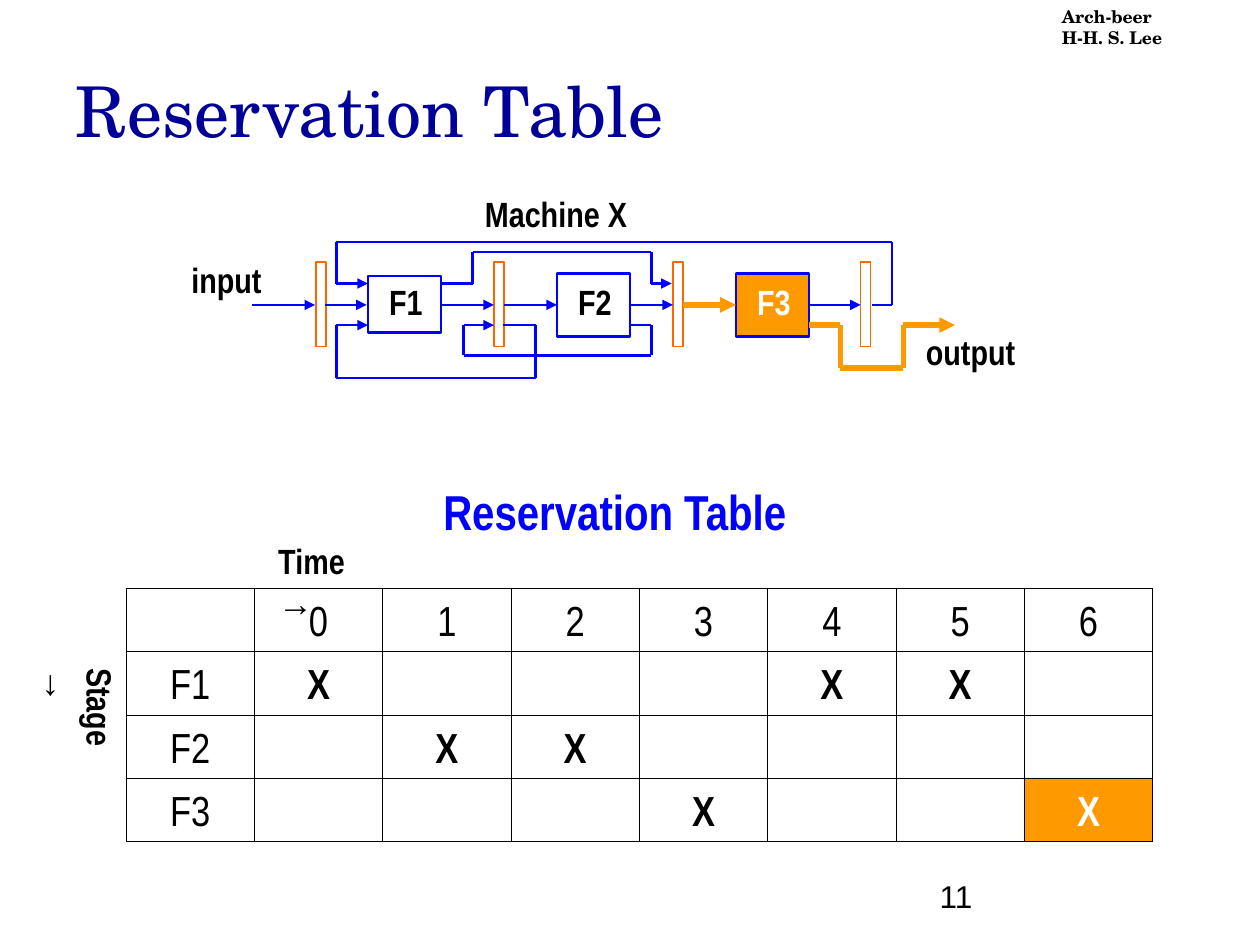
from dataclasses import dataclass
from itertools import pairwise

from lxml.etree import SubElement
from pptx import Presentation
from pptx.dml.color import RGBColor as RGB
from pptx.enum.shapes import MSO_CONNECTOR as CONN, MSO_SHAPE as SHAPE
from pptx.enum.text import MSO_ANCHOR as ANCHOR, PP_ALIGN as ALIGN
from pptx.oxml.ns import qn
from pptx.util import Inches, Pt


@dataclass(frozen=True)
class Theme:
    serif: str = "TeX Gyre Schola"
    narrow: str = "Arial Narrow"
    sans: str = "Arial"
    black: str = "000000"
    white: str = "FFFFFF"
    navy: str = "000099"
    blue: str = "0000FF"
    orange: str = "FF9900"
    latch: str = "FF6600"
    title: int = 40
    heading: int = 28
    cell: int = 24
    label: int = 20
    number: int = 18
    credit: int = 10


T = Theme()


class Deck:
    def __init__(self, prs):
        self.slide = prs.slides.add_slide(prs.slide_layouts[5])
        self.shapes = self.slide.shapes

    def font(self, p, size, name=T.narrow, color=T.black, bold=True):
        f = p.font
        f.size, f.name, f.bold = Pt(size), name, bold
        f.color.rgb = RGB.from_string(color)

    def title(self, text, box):
        sp = self.shapes.title
        sp.left, sp.top, sp.width, sp.height = map(Inches, box)
        tf = sp.text_frame
        tf.text = text
        tf.vertical_anchor = ANCHOR.BOTTOM
        p = tf.paragraphs[0]
        p.alignment = ALIGN.LEFT
        self.font(p, T.title, T.serif, T.navy, False)

    def text(self, text, box, size=T.label, wrap=False, anchor=ANCHOR.TOP, **font):
        sp = self.shapes.add_textbox(*map(Inches, box))
        tf = sp.text_frame
        tf.text = text
        tf.word_wrap = wrap
        tf.vertical_anchor = anchor
        for p in tf.paragraphs:
            self.font(p, size, **font)
        return sp

    def axis_label(self, text, box, rotation=0):
        sp = self.text(text + " ", box, wrap=True)
        sp.rotation = rotation
        r = sp.text_frame.paragraphs[0].add_run()
        r.text = "→"
        r.font.name = T.sans

    def rect(self, box, line, width, fill=T.white):
        sp = self.shapes.add_shape(SHAPE.RECTANGLE, *map(Inches, box))
        sp.shadow.inherit = False
        sp.fill.solid()
        sp.fill.fore_color.rgb = RGB.from_string(fill)
        sp.line.color.rgb = RGB.from_string(line)
        sp.line.width = Pt(width)

    def stage(self, name, x, y, h, fill=T.white, color=T.black):
        self.rect((x, y, 0.58, h), T.blue, 1.5, fill)
        self.text(name, (x + 0.07, 2.18, 0.51, 0.44), color=color)

    def route(self, *points, color=T.blue, width=1.5, arrow=True):
        for start, end in pairwise(points):
            c = self.shapes.add_connector(CONN.STRAIGHT, *map(Inches, start + end))
            c.line.color.rgb = RGB.from_string(color)
            c.line.width = Pt(width)
            if arrow and end == points[-1]:
                SubElement(c.line._get_or_add_ln(), qn("a:tailEnd"), type="triangle")
            SubElement(c._element.spPr, qn("a:effectLst"))

    def borders(self, cell):
        pr = cell._tc.get_or_add_tcPr()
        for i, side in enumerate(("lnL", "lnR", "lnT", "lnB")):
            ln = pr.makeelement(qn(f"a:{side}"), {"w": str(Pt(0.45))})
            fill = SubElement(ln, qn("a:solidFill"))
            SubElement(fill, qn("a:srgbClr"), val=T.black)
            pr.insert(i, ln)

    def table(self, rows, box, highlight):
        n_rows, n_cols = len(rows), len(rows[0])
        table = self.shapes.add_table(n_rows, n_cols, *map(Inches, box)).table
        table.first_row = table.horz_banding = False
        for i, row in enumerate(rows):
            for j, value in enumerate(row):
                cell = table.cell(i, j)
                lit = (i, j) == highlight
                cell.fill.solid()
                cell.fill.fore_color.rgb = RGB.from_string(T.orange if lit else T.white)
                cell.vertical_anchor = ANCHOR.BOTTOM
                self.borders(cell)
                cell.text = value
                p = cell.text_frame.paragraphs[0]
                p.alignment = ALIGN.CENTER
                self.font(p, T.cell, color=T.white if lit else T.black, bold=value == "X")


def draw_machine(deck):
    deck.text("Machine X", (3.75, 1.48, 1.33, 0.44))
    deck.text("input", (1.42, 2, 0.76, 0.44))
    deck.text("output", (7.25, 2.57, 0.91, 0.44))
    deck.stage("F1", 2.92, 2.19, 0.45)
    deck.stage("F2", 4.42, 2.17, 0.5)
    deck.stage("F3", 5.84, 2.17, 0.5, T.orange, T.white)
    for x in (2.51, 3.92, 5.34, 6.83):
        deck.rect((x, 2.08, 0.08, 0.67), T.latch, 1)

    top, mid, low = 2.25, 2.42, 2.58
    for x1, x2 in ((2, 2.5), (2.58, 2.91), (3.5, 3.92), (4, 4.42), (5, 5.34), (6.41, 6.83)):
        deck.route((x1, mid), (x2, mid))
    deck.route((6.92, mid), (7.08, mid), (7.08, 1.92), (2.67, 1.92), (2.67, top), (2.92, top))
    deck.route((3.5, top), (3.75, top), (3.75, 2), (5.17, 2), (5.17, top), (5.33, top))
    deck.route((5, low), (5.17, low), (5.17, 2.82), (3.68, 2.82), (3.68, low), (3.92, low))
    deck.route((3.99, low), (4.25, low), (4.25, 3), (2.67, 3), (2.67, low), (2.92, low))
    deck.route((5.42, mid), (5.84, mid), color=T.orange, width=3)
    deck.route((6.42, low), (6.67, low), (6.67, 2.92), (7.17, 2.92), (7.17, low), (7.58, low),
               color=T.orange, width=3)


def draw_reservations(deck):
    used = {"F1": (0, 4, 5), "F2": (1, 2), "F3": (3, 6)}
    times = range(7)
    rows = [["", *map(str, times)]]
    rows += [[name, *("X" if t in slots else "" for t in times)] for name, slots in used.items()]
    deck.text("Reservation Table", (3.42, 3.77, 2.94, 0.57), T.heading, color=T.blue)
    deck.table(rows, (1, 4.67, 8.15, 2.01), highlight=(3, 7))
    deck.axis_label("Time", (2.11, 4.23, 1.02, 0.44))
    deck.axis_label("Stage", (0.24, 5.54, 1.11, 0.44), rotation=90)


def main():
    prs = Presentation()
    prs.slide_width, prs.slide_height = Inches(10), Inches(7.5)
    deck = Deck(prs)
    deck.text("Arch-beer\nH-H. S. Lee", (8.33, 0, 1.67, 0.44), T.credit, wrap=True, name=T.serif)
    deck.title("Reservation Table", (0.5, 0.33, 8.5, 0.92))
    draw_machine(deck)
    draw_reservations(deck)
    deck.text("11", (7.36, 6.81, 2.08, 0.5), T.number, wrap=True, anchor=ANCHOR.BOTTOM,
              name=T.sans, bold=False)
    prs.save("out.pptx")


if __name__ == "__main__":
    main()
